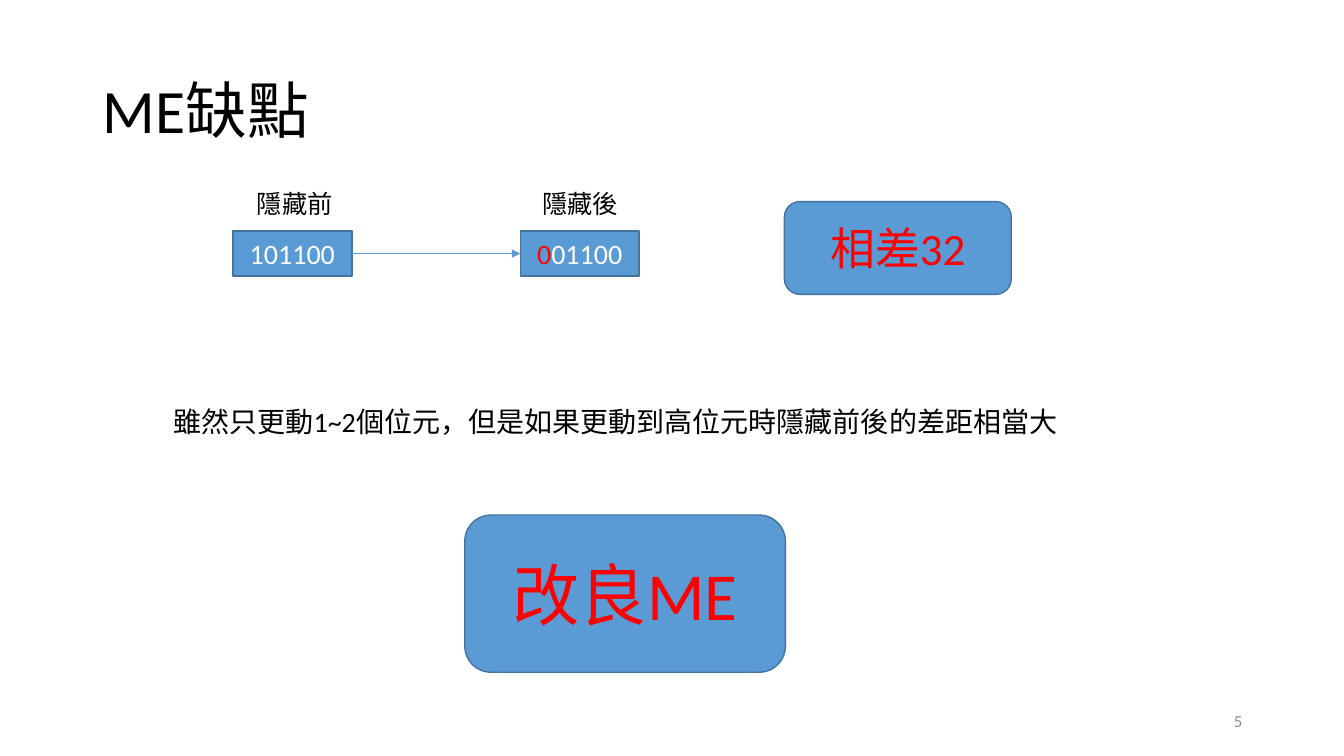
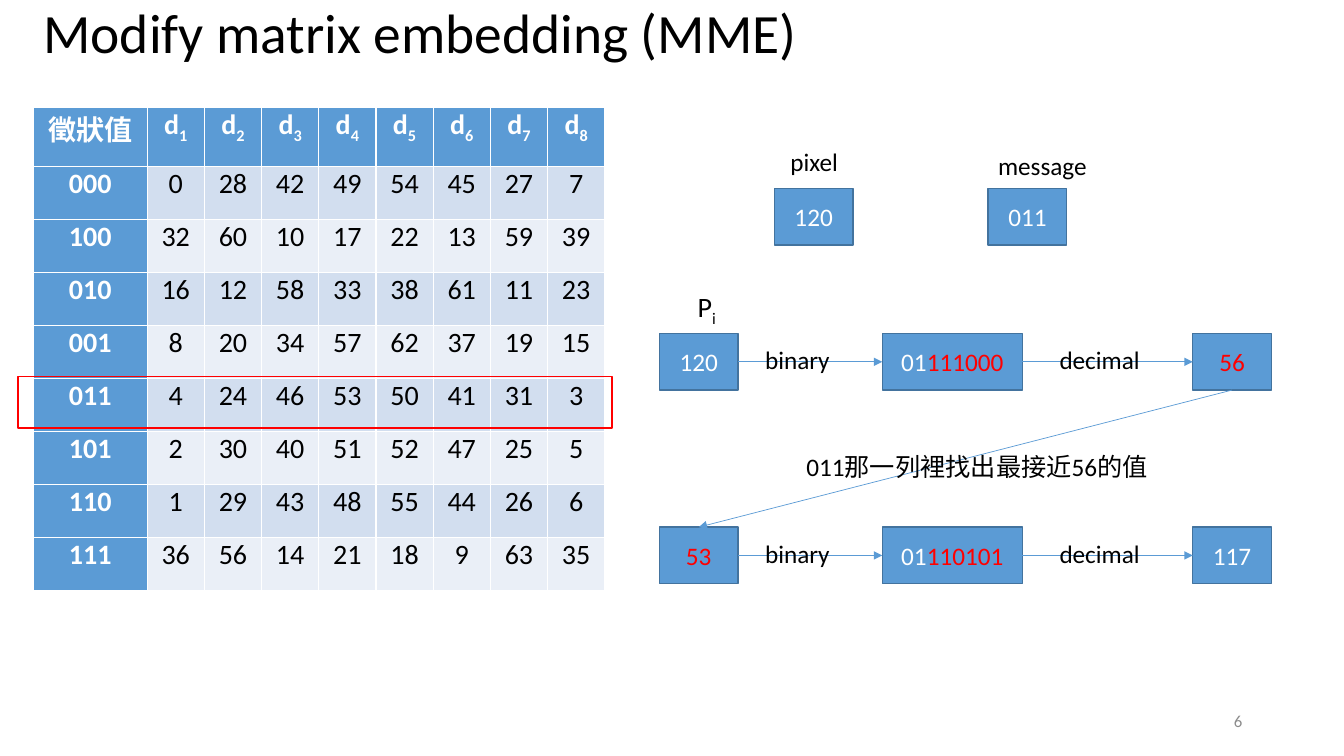
from lxml import etree
from pptx import Presentation
from pptx.dml.color import RGBColor
from pptx.enum.shapes import MSO_CONNECTOR, MSO_SHAPE
from pptx.enum.text import MSO_ANCHOR, MSO_AUTO_SIZE, PP_ALIGN
from pptx.oxml.ns import qn
from pptx.util import Inches, Pt

LEFT, MID, RIGHT = PP_ALIGN.LEFT, PP_ALIGN.CENTER, PP_ALIGN.RIGHT
MIDDLE, TOP = MSO_ANCHOR.MIDDLE, MSO_ANCHOR.TOP
RECT, ROUND = MSO_SHAPE.RECTANGLE, MSO_SHAPE.ROUNDED_RECTANGLE
STRAIGHT, NO_FIT = MSO_CONNECTOR.STRAIGHT, MSO_AUTO_SIZE.NONE
FONT = "Calibri"
BLUE, EDGE, RED, GREY = "5B9BD5", "43739E", "FF0000", "8C8C8C"
WHITE, BLACK, BANDS = "FFFFFF", "000000", ("D2DEEF", "EAEFF7")
TOP_SIDE, LEFT_SIDE, LOW_SIDE, RIGHT_SIDE = range(4)

SYNDROMES = (
    ("000", 0, 28, 42, 49, 54, 45, 27, 7),
    ("100", 32, 60, 10, 17, 22, 13, 59, 39),
    ("010", 16, 12, 58, 33, 38, 61, 11, 23),
    ("001", 8, 20, 34, 57, 62, 37, 19, 15),
    ("011", 4, 24, 46, 53, 50, 41, 31, 3),
    ("101", 2, 30, 40, 51, 52, 47, 25, 5),
    ("110", 1, 29, 43, 48, 55, 44, 26, 6),
    ("111", 36, 56, 14, 21, 18, 9, 63, 35),
)


def rgb(code):
    """Turn a hex string into a colour."""
    return RGBColor.from_string(code)


def inches(*sizes):
    """Turn numbers into lengths."""
    return [Inches(size) for size in sizes]


def write(frame, text, size, color=BLACK, align=LEFT, bold=False, sub="", lead=""):
    """Write one line, with a white lead or a subscript if given."""
    par = frame.paragraphs[0]
    par.alignment = align
    font = par.font
    font.name, font.size, font.bold = FONT, Pt(size), bold
    font.color.rgb = rgb(color)
    for part, tint in ((lead, WHITE), (text, color), (sub, color)):
        if part:
            run = par.add_run()
            run.text = part
            run.font.color.rgb = rgb(tint)
    if sub:
        run.font._element.set("baseline", "-25000")
    return par


def label(slide, box, text, size=18, color=BLACK, align=LEFT, anchor=TOP, sub=""):
    """Add a wrapped text box."""
    frame = slide.shapes.add_textbox(*inches(*box)).text_frame
    frame.word_wrap, frame.vertical_anchor = True, anchor
    write(frame, text, size, color, align, sub=sub)


def block(slide, box, text, size=18, color=WHITE, lead="", kind=RECT):
    """Add a blue box with centred text."""
    shape = slide.shapes.add_shape(kind, *inches(*box))
    shape.shadow.inherit = False
    shape.fill.solid()
    shape.fill.fore_color.rgb = rgb(BLUE)
    shape.line.color.rgb, shape.line.width = rgb(EDGE), Pt(1)
    shape.text_frame.vertical_anchor = MIDDLE
    write(shape.text_frame, text, size, color, MID, lead=lead)
    return shape


def arrow(slide, start, end, out=RIGHT_SIDE, into=LEFT_SIDE):
    """Join two boxes with an arrow."""
    link = slide.shapes.add_connector(STRAIGHT, 0, 0, 0, 0)
    link.begin_connect(start, out)
    link.end_connect(end, into)
    link.line.color.rgb, link.line.width = rgb(BLUE), Pt(0.5)
    etree.SubElement(link.line._get_or_add_ln(), qn("a:tailEnd"), type="triangle")
    etree.SubElement(link._element.spPr, qn("a:effectLst"))


def page(deck, title, number, box, size):
    """Start a slide with its title and page number."""
    slide = deck.slides.add_slide(deck.slide_layouts[5])
    head = slide.shapes.title
    head.left, head.top, head.width, head.height = inches(*box)
    frame = head.text_frame
    frame.word_wrap, frame.auto_size = True, NO_FIT
    frame.vertical_anchor = MIDDLE
    write(frame, title, size).line_spacing = 0.9
    label(slide, (9.42, 6.95, 3, 0.4), number, 12, GREY, RIGHT, MIDDLE)
    return slide


def change(slide, x, y):
    """Show the bits before and after hiding."""
    wide, high, step = 1.18, 0.45, 2.85
    label(slide, (x + 0.14, y, 1.38, 0.4), "隱藏前")
    label(slide, (x + 2.97, y, 1.68, 0.4), "隱藏後")
    old = block(slide, (x, y + 0.47, wide, high), "101100", 20)
    new = block(slide, (x + step, y + 0.47, wide, high), "", 20)
    par = new.text_frame.paragraphs[0]
    for text, tint in (("0", RED), ("01100", WHITE)):
        run = par.add_run()
        run.text = text
        run.font.color.rgb = rgb(tint)
    arrow(slide, old, new)


def matrix(slide, x, y, wide, high):
    """Place the syndrome table and mark the row 011."""
    first, top = 1.13, 0.58
    count = len(SYNDROMES)
    step = (high - top) / count
    frame = slide.shapes.add_table(count + 1, 9, *inches(x, y, wide, high))
    table = frame.table
    table.first_col = True
    for col, column in enumerate(table.columns):
        column.width = Inches((wide - first) / 8 if col else first)
    heads = ("徵狀值",) + ("d",) * 8
    for row, values in enumerate((heads,) + SYNDROMES):
        table.rows[row].height = Inches(step if row else top)
        for col, value in enumerate(values):
            cell = table.cell(row, col)
            cell.margin_left = cell.margin_right = Inches(0.07)
            cell.margin_top = cell.margin_bottom = 0
            head = row == 0 or col == 0
            cell.fill.solid()
            cell.fill.fore_color.rgb = rgb(BLUE if head else BANDS[(row - 1) % 2])
            sub = str(col) if row == 0 and col else ""
            write(cell.text_frame, str(value), 20, WHITE if head else BLACK, MID, head, sub)
    mark = slide.shapes.add_shape(
        RECT, *inches(x - 0.15, y + top + 4 * step - 0.02, wide + 0.22, 0.51))
    mark.shadow.inherit = False
    mark.fill.background()
    mark.line.color.rgb, mark.line.width = rgb(RED), Pt(1)


def flow(slide, x, y, start, bits, end):
    """Place a row from decimal to bits and back; return its end boxes."""
    high = 0.56
    left = block(slide, (x, y, 0.78, high), *start)
    code = block(slide, (x + 2.21, y, 1.39, high), bits, color=RED, lead="01")
    last = block(slide, (x + 5.29, y, 0.78, high), *end)
    arrow(slide, left, code)
    arrow(slide, code, last)
    label(slide, (x + 0.95, y + 0.06, 1.24, 0.4), "binary")
    label(slide, (x + 3.87, y + 0.06, 1.28, 0.4), "decimal")
    return left, last


def search(slide, x, y):
    """Show how the pixel takes up the message."""
    label(slide, (x + 1.2, y, 1.44, 0.4), "pixel")
    label(slide, (x + 3.26, y + 0.04, 1.42, 0.4), "message")
    block(slide, (x + 1.14, y + 0.47, 0.78, 0.56), "120")
    block(slide, (x + 3.26, y + 0.47, 0.78, 0.56), "011")
    label(slide, (x + 0.28, y + 1.42, 1, 0.44), "P", 20, sub="i")
    last = flow(slide, x, y + 1.91, ("120",), "111000", ("56", 18, RED))[1]
    near = flow(slide, x, y + 3.83, ("53", 18, RED), "110101", ("117",))[0]
    arrow(slide, last, near, LOW_SIDE, TOP_SIDE)
    label(slide, (x + 1.36, y + 3.03, 4.01, 0.4), "011那一列裡找出最接近56的值")


def flaw(deck):
    """Build the slide on the weakness of ME."""
    slide = page(deck, "ME缺點", "5", (0.92, 0.4, 11.5, 1.45), 44)
    change(slide, 2.31, 1.82)
    block(slide, (7.78, 2, 2.25, 0.92), "相差32", 32, RED, kind=ROUND)
    label(slide, (1.62, 3.96, 9.69, 0.44),
          "雖然只更動1~2個位元，但是如果更動到高位元時隱藏前後的差距相當大", 20)
    block(slide, (4.61, 5.11, 3.18, 1.56), "改良ME", 48, RED, kind=ROUND)


def method(deck):
    """Build the slide on MME."""
    slide = page(deck, "Modify matrix embedding (MME)", "6", (0.33, 0, 11.5, 0.7), 39.6)
    matrix(slide, 0.33, 1.07, 5.67, 4.79)
    search(slide, 6.54, 1.4)


def main():
    """Build and save the deck."""
    deck = Presentation()
    deck.slide_width, deck.slide_height = inches(13.33, 7.5)
    flaw(deck)
    method(deck)
    deck.save("out.pptx")


if __name__ == "__main__":
    main()
